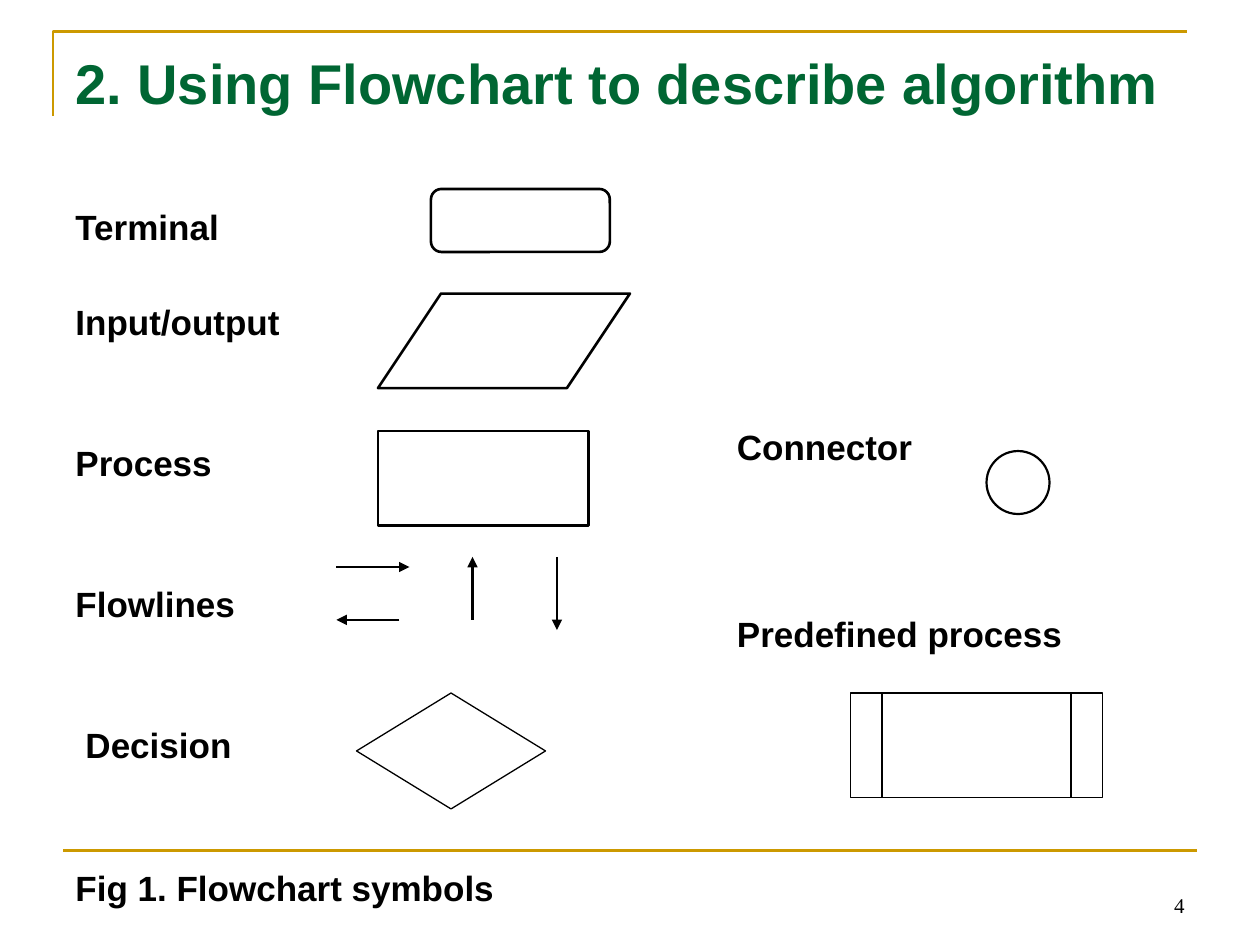
from pptx import Presentation
from pptx.dml.color import RGBColor
from pptx.enum.shapes import MSO_CONNECTOR, MSO_SHAPE as SHAPE
from pptx.enum.text import MSO_ANCHOR as ANCHOR, PP_ALIGN as ALIGN
from pptx.oxml.ns import qn
from pptx.util import Inches, Pt
from lxml.etree import SubElement

BLACK = RGBColor(0x00, 0x00, 0x00)
WHITE = RGBColor(0xFF, 0xFF, 0xFF)
GREEN = RGBColor(0x00, 0x66, 0x33)
GOLD = RGBColor(0xCC, 0x99, 0x00)

LABEL = {"name": "Arial", "size": Pt(20), "bold": True}
TITLE = {"name": "Arial", "size": Pt(32), "bold": True}
NUMBER = {"name": "Times New Roman", "size": Pt(12), "bold": False}

LINE_PITCH = 26.6
LINE_HEIGHT = 20.7
LEFT_LABELS = [
    ("Terminal", 0, 0),
    ("Input/output", 2, 0),
    ("Process", 3, 0),
    ("Flowlines", 3, 0),
    ("Decision", 3, 0.08),
]
RIGHT_LABELS = [("Connector", 0), ("Predefined process", 82.7)]

SYMBOLS = [
    (SHAPE.ROUNDED_RECTANGLE, (3.42, 1.5, 1.42, 0.5), 0.167, None, 1.5),
    (SHAPE.PARALLELOGRAM, (3, 2.33, 2, 0.75), 0.667, None, 1.5),
    (SHAPE.RECTANGLE, (3, 3.42, 1.67, 0.75), None, None, 1.5),
    (SHAPE.DIAMOND, (2.83, 5.5, 1.5, 0.92), None, WHITE, 0.75),
    (SHAPE.OVAL, (7.83, 3.58, 0.5, 0.5), None, WHITE, 1.25),
    (SHAPE.RECTANGLE, (6.75, 5.5, 2, 0.83), None, WHITE, 0.75),
]
FLOWLINES = [
    (2.67, 4.5, 3.25, 4.5),
    (3.17, 4.92, 2.67, 4.92),
    (3.75, 4.92, 3.75, 4.42),
    (4.42, 4.42, 4.42, 5),
]
PROCESS_BARS = [(x, 5.5, x, 6.33) for x in (7, 8.5)]
FRAME = [(0.42, 0.92), (0.42, 0.25), (9.42, 0.25)]
FOOTER_RULE = (0.5, 6.75, 9.5, 6.75)


def add_text(s, box, paragraphs, font, color=BLACK, anchor=ANCHOR.TOP, inset=0.05):
    tf = s.shapes.add_textbox(*map(Inches, box)).text_frame
    tf.word_wrap = True
    tf.vertical_anchor = anchor
    tf.margin_top = Inches(inset)
    for i, (text, fmt) in enumerate(paragraphs):
        p = tf.paragraphs[0] if i == 0 else tf.add_paragraph()
        for name, value in fmt.items():
            setattr(p, name, value)
        r = p.add_run()
        r.text = text
        for name, value in font.items():
            setattr(r.font, name, value)
        r.font.color.rgb = color
    return tf


def add_line(s, ends, color, width, arrow=False):
    line = s.shapes.add_connector(MSO_CONNECTOR.STRAIGHT, *map(Inches, ends))
    line.line.color.rgb = color
    line.line.width = Pt(width)
    if arrow:
        SubElement(line.line._get_or_add_ln(), qn("a:tailEnd"), type="triangle")
    SubElement(line._element.spPr, qn("a:effectLst"))


def style_shape(sp, fill, color, width):
    sp.shadow.inherit = False
    if fill is None:
        sp.fill.background()
    else:
        sp.fill.solid()
        sp.fill.fore_color.rgb = fill
    sp.line.color.rgb = color
    sp.line.width = Pt(width)


def add_frame(s):
    start, *rest = [(Inches(x), Inches(y)) for x, y in FRAME]
    builder = s.shapes.build_freeform(*start)
    builder.add_line_segments(rest, close=False)
    style_shape(builder.convert_to_shape(), None, GOLD, 1.5)


def add_symbols(s):
    for kind, box, adjustment, fill, width in SYMBOLS:
        sp = s.shapes.add_shape(kind, *map(Inches, box))
        if adjustment is not None:
            sp.adjustments[0] = adjustment
        style_shape(sp, fill, BLACK, width)
    for ends in FLOWLINES:
        add_line(s, ends, BLACK, 1.5, arrow=True)
    for ends in PROCESS_BARS:
        add_line(s, ends, BLACK, 0.75)


def add_labels(s):
    left = []
    for text, lines, indent in LEFT_LABELS:
        fmt = {"line_spacing": 0.9}
        if lines:
            fmt["space_before"] = Pt(lines * LINE_PITCH - LINE_HEIGHT)
        left.append((text, fmt))
    tf = add_text(s, (0.5, 1.21, 4.92, 5.54), left, LABEL, inset=0.46)
    for p, (_, _, indent) in zip(tf.paragraphs, LEFT_LABELS):
        if indent:
            p._p.get_or_add_pPr().set("marL", str(Inches(indent)))
    right = [(text, {"space_before": Pt(gap)}) for text, gap in RIGHT_LABELS]
    add_text(s, (5.75, 3.33, 3.58, 2.82), right, LABEL)


def main():
    prs = Presentation()
    prs.slide_width, prs.slide_height = Inches(10), Inches(7.5)
    s = prs.slides.add_slide(prs.slide_layouts[6])
    add_frame(s)
    add_line(s, FOOTER_RULE, GOLD, 1.5)
    add_text(s, (7.17, 6.83, 2.33, 0.5), [("4", {"alignment": ALIGN.RIGHT})],
             NUMBER, anchor=ANCHOR.BOTTOM)
    add_text(s, (0.5, 0.3, 9, 0.7), [("2. Using Flowchart to describe algorithm", {})],
             TITLE, GREEN, ANCHOR.MIDDLE)
    add_labels(s)
    add_symbols(s)
    add_text(s, (0.5, 6.83, 4.75, 0.44), [("Fig 1. Flowchart symbols", {})], LABEL)
    prs.save("out.pptx")


if __name__ == "__main__":
    main()
